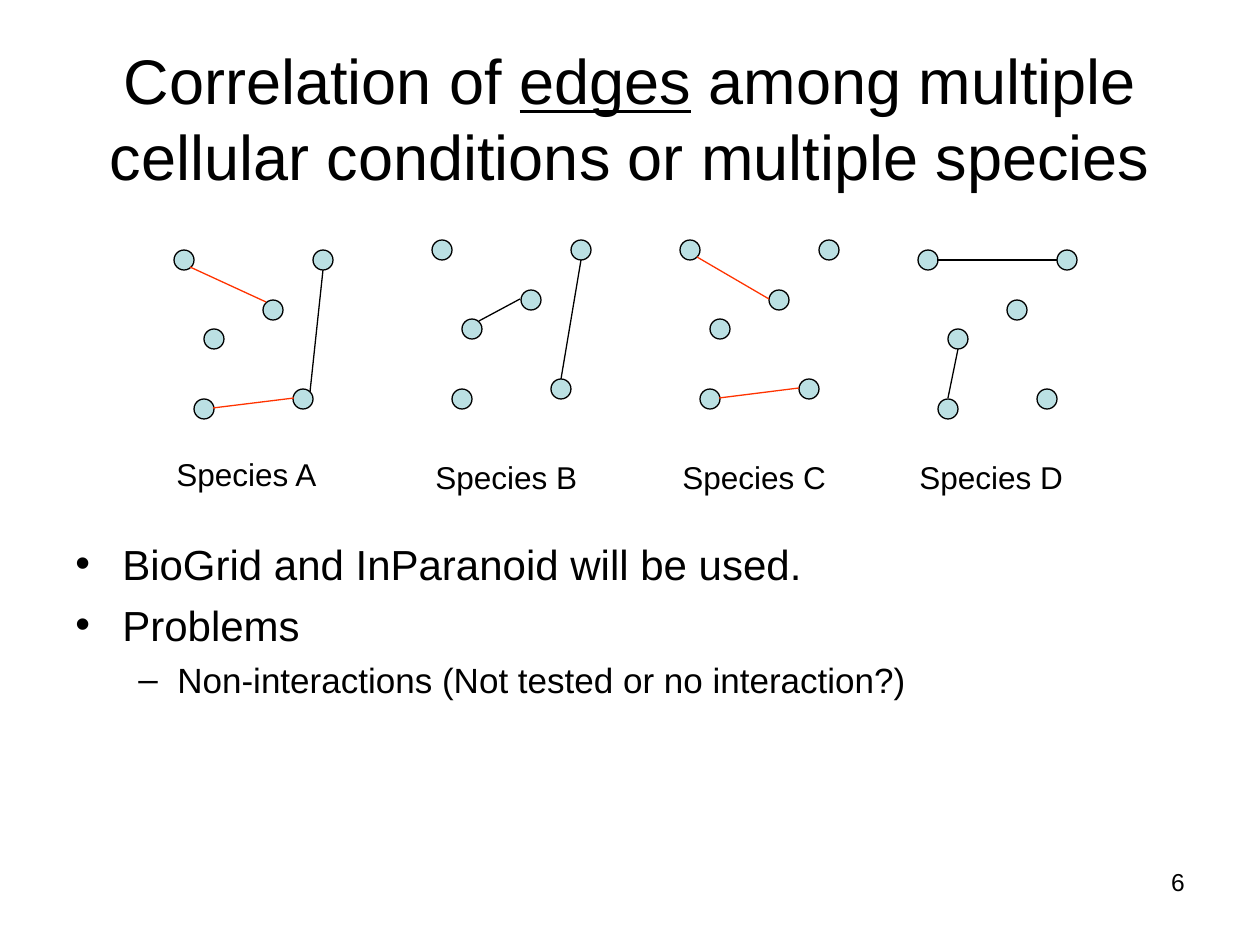
from lxml.etree import SubElement
from pptx import Presentation
from pptx.dml.color import RGBColor
from pptx.enum.shapes import MSO_CONNECTOR, MSO_SHAPE
from pptx.enum.text import MSO_ANCHOR, PP_ALIGN
from pptx.oxml.ns import qn
from pptx.util import Emu, Pt

EMU_PER_PX = 914400 / 126
COLORS = {"ink": "000000", "node": "BBE0E3", "shared": "FF3300", "paper": "FFFFFF"}
NODE_SIZE = 20
LABEL_SIZE = (180, 50)
NODES = [(0, 0), (89, 50), (20, 149), (119, 139), (30, 79), (139, 0)]

# Box (left, top), label offset, edges as (from, to, color); all offsets are inside the box.
SPECIES = {
    "Species A": ((174, 250), (-10, 199), [
        ((16, 17), (92, 52), "shared"),
        ((39, 158), (120, 148), "shared"),
        ((136, 142), (149, 20), "ink"),
    ]),
    "Species B": ((432, 240), (-9, 212), [
        ((47, 81), (88, 59), "ink"),
        ((129, 139), (149, 20), "ink"),
    ]),
    "Species C": ((680, 240), (-10, 212), [
        ((17, 17), (89, 59), "shared"),
        ((39, 158), (119, 148), "shared"),
    ]),
    "Species D": ((918, 250), (-11, 202), [
        ((19, 10), (139, 10), "ink"),
        ((30, 148), (40, 99), "ink"),
    ]),
}
# Text, size, space before in pt, bullet, left margin and hanging indent in px
BULLETS = [
    ("BioGrid and InParanoid will be used.", 24, 0, "•", 47, 47),
    ("Problems", 24, 6, "•", 47, 47),
    ("Non-interactions (Not tested or no interaction?)", 20, 5, "–", 102, 39),
]


def px(*lengths):
    return [Emu(round(length * EMU_PER_PX)) for length in lengths]


def color(name):
    return RGBColor.from_string(COLORS[name])


def set_format(target, values):
    for name, value in values.items():
        setattr(target, name, value)


def add_run(paragraph, text, size, **values):
    run = paragraph.add_run()
    run.text = text
    set_format(run.font, {"name": "Arial", "size": Pt(size), **values})
    run.font.color.rgb = color("ink")


def add_text_frame(slide, box, **values):
    frame = slide.shapes.add_textbox(*px(*box)).text_frame
    set_format(frame, {"word_wrap": True, **values})
    return frame


def add_title(slide, box):
    frame = add_text_frame(slide, box, vertical_anchor=MSO_ANCHOR.MIDDLE)
    paragraph = frame.paragraphs[0]
    paragraph.alignment = PP_ALIGN.CENTER
    add_run(paragraph, "Correlation of ", 36)
    add_run(paragraph, "edges", 36, underline=True)
    add_run(paragraph, " among multiple cellular conditions or multiple species", 36)


def add_bullets(slide, box):
    frame = add_text_frame(slide, box)
    for index, (text, size, before, bullet, margin, hanging) in enumerate(BULLETS):
        paragraph = frame.add_paragraph() if index else frame.paragraphs[0]
        paragraph.space_before = Pt(before)
        properties = paragraph._p.get_or_add_pPr()
        left, indent = px(margin, -hanging)
        properties.set("marL", str(left))
        properties.set("indent", str(indent))
        SubElement(properties, qn("a:buFont"), typeface="Arial")
        SubElement(properties, qn("a:buChar"), char=bullet)
        add_run(paragraph, text, size)


def add_node(slide, left, top):
    shape = slide.shapes.add_shape(MSO_SHAPE.OVAL, *px(left, top, NODE_SIZE, NODE_SIZE))
    shape.shadow.inherit = False
    shape.fill.solid()
    shape.fill.fore_color.rgb = color("node")
    shape.line.color.rgb = color("ink")
    shape.line.width = Pt(0.75)


def add_edge(slide, start, end, color_name):
    connector = slide.shapes.add_connector(MSO_CONNECTOR.STRAIGHT, *px(*start, *end))
    connector.line.color.rgb = color(color_name)
    connector.line.width = Pt(0.75)
    SubElement(connector._element.spPr, qn("a:effectLst"))


def add_network(slide, name, origin, label_offset, edges):
    def place(offset):
        return origin[0] + offset[0], origin[1] + offset[1]

    for node in NODES:
        add_node(slide, *place(node))
    for start, end, color_name in edges:
        add_edge(slide, place(start), place(end), color_name)
    frame = add_text_frame(slide, (*place(label_offset), *LABEL_SIZE))
    add_run(frame.paragraphs[0], name, 18)


def add_page_number(slide, box):
    paragraph = add_text_frame(slide, box).paragraphs[0]
    paragraph.alignment = PP_ALIGN.RIGHT
    add_run(paragraph, "6", 14)


def main():
    presentation = Presentation()
    presentation.slide_width, presentation.slide_height = px(1260, 945)
    slide = presentation.slides.add_slide(presentation.slide_layouts[6])
    slide.background.fill.solid()
    slide.background.fill.fore_color.rgb = color("paper")
    add_title(slide, (63, 38, 1134, 158))
    add_bullets(slide, (63, 532, 1134, 312))
    for name, (origin, label_offset, edges) in SPECIES.items():
        add_network(slide, name, origin, label_offset, edges)
    add_page_number(slide, (903, 861, 294, 66))
    presentation.save("out.pptx")


if __name__ == "__main__":
    main()
